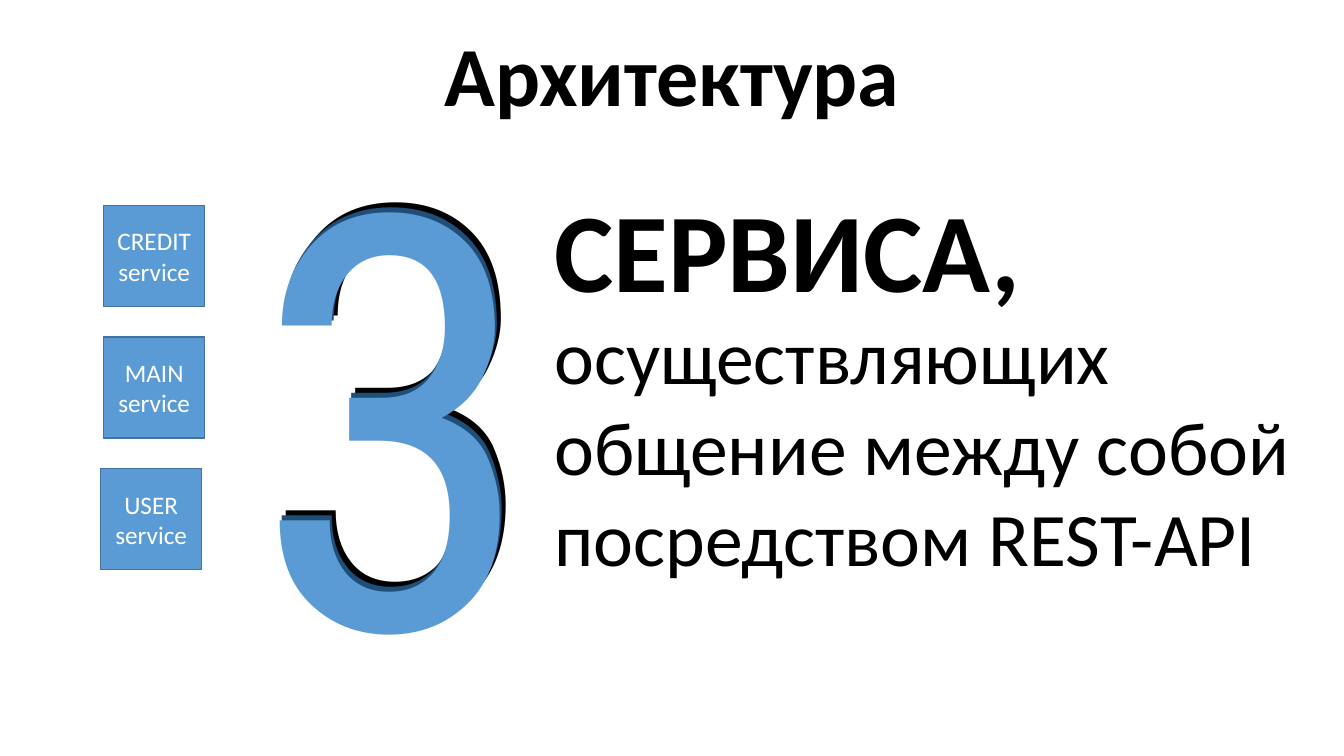
import pptx
import pptx.util
import pptx.dml.color
import pptx.enum.shapes
import pptx.enum.text

Inches = pptx.util.Inches
ANCHOR = pptx.enum.text.MSO_ANCHOR
ALIGN = pptx.enum.text.PP_ALIGN

COLORS = {
    "ink": "000000",
    "blue": "5B9BD5",
    "outline": "43739E",
    "deep": "1F4E79",
    "white": "FFFFFF",
}


def color(key):
    return pptx.dml.color.RGBColor.from_string(COLORS[key])


def write(frame, lines, size, ink, font="Calibri", bold=False,
          align=ALIGN.LEFT, anchor=ANCHOR.TOP, wrap=True):
    """Fill a text frame, one paragraph per line."""
    frame.word_wrap = wrap
    frame.vertical_anchor = anchor
    font_format = {"name": font, "size": pptx.util.Pt(size), "bold": bold}
    for index, line in enumerate(lines):
        paragraph = frame.add_paragraph() if index else frame.paragraphs[0]
        paragraph.alignment = align
        run = paragraph.add_run()
        run.text = line
        for attribute, value in font_format.items():
            setattr(run.font, attribute, value)
        run.font.color.rgb = color(ink)


def add_text(shapes, box, lines, size, ink, **options):
    label = shapes.add_textbox(*map(Inches, box))
    write(label.text_frame, lines, size, ink, **options)
    label.text_frame.auto_size = pptx.enum.text.MSO_AUTO_SIZE.SHAPE_TO_FIT_TEXT


def add_services(shapes, left, top):
    """Column of equal squares; each has its own small indent."""
    side, pitch = 1, 1.305
    services = [("CREDIT", 0.03), ("MAIN", 0.03), ("USER", 0)]
    for row, (service, indent) in enumerate(services):
        square = shapes.add_shape(
            pptx.enum.shapes.MSO_SHAPE.RECTANGLE,
            Inches(left + indent), Inches(top + row * pitch),
            Inches(side), Inches(side))
        square.shadow.inherit = False
        square.fill.solid()
        square.fill.fore_color.rgb = color("blue")
        square.line.color.rgb = color("outline")
        square.line.width = pptx.util.Pt(1)
        write(square.text_frame, [service, "service"], 18, "white",
              align=ALIGN.CENTER, anchor=ANCHOR.MIDDLE)


def add_big_number(shapes, left, top, width, height):
    """Three stacked digits, back to front, giving a sense of depth."""
    layers = [("ink", 0.06, 0), ("deep", 0.02, 0.05), ("blue", 0, 0.1)]
    digits = shapes.add_group_shape().shapes
    for ink, right, down in layers:
        add_text(digits, (left + right, top + down, width, height), ["3"],
                 413, ink, font="Roboto Condensed",
                 anchor=ANCHOR.MIDDLE, wrap=False)


def add_statement(shapes, left, top):
    add_text(shapes, (left, top, 4.88, 1.45), ["СЕРВИСА,"], 80, "ink",
             bold=True, wrap=False)
    add_text(shapes, (left, top + 1.28, 7.57, 2.83),
             ["осуществляющих", "общение между собой", "посредством REST-API"],
             54, "ink", wrap=False)


def build_architecture(slide):
    shapes = slide.shapes
    # Services on the left
    add_services(shapes, 1, 2.04)
    # Title
    add_text(shapes, (1, 0.17, 11.33, 1.11), ["Архитектура"], 60, "ink",
             bold=True, align=ALIGN.CENTER, anchor=ANCHOR.MIDDLE)
    # Number and what it counts
    add_big_number(shapes, 2.41, 0.33, 2.88, 7.05)
    add_statement(shapes, 5.4, 1.74)


def main():
    deck = pptx.Presentation()
    deck.slide_width, deck.slide_height = Inches(13.33), Inches(7.5)
    build_architecture(deck.slides.add_slide(deck.slide_layouts[6]))
    deck.save("out.pptx")


if __name__ == "__main__":
    main()
